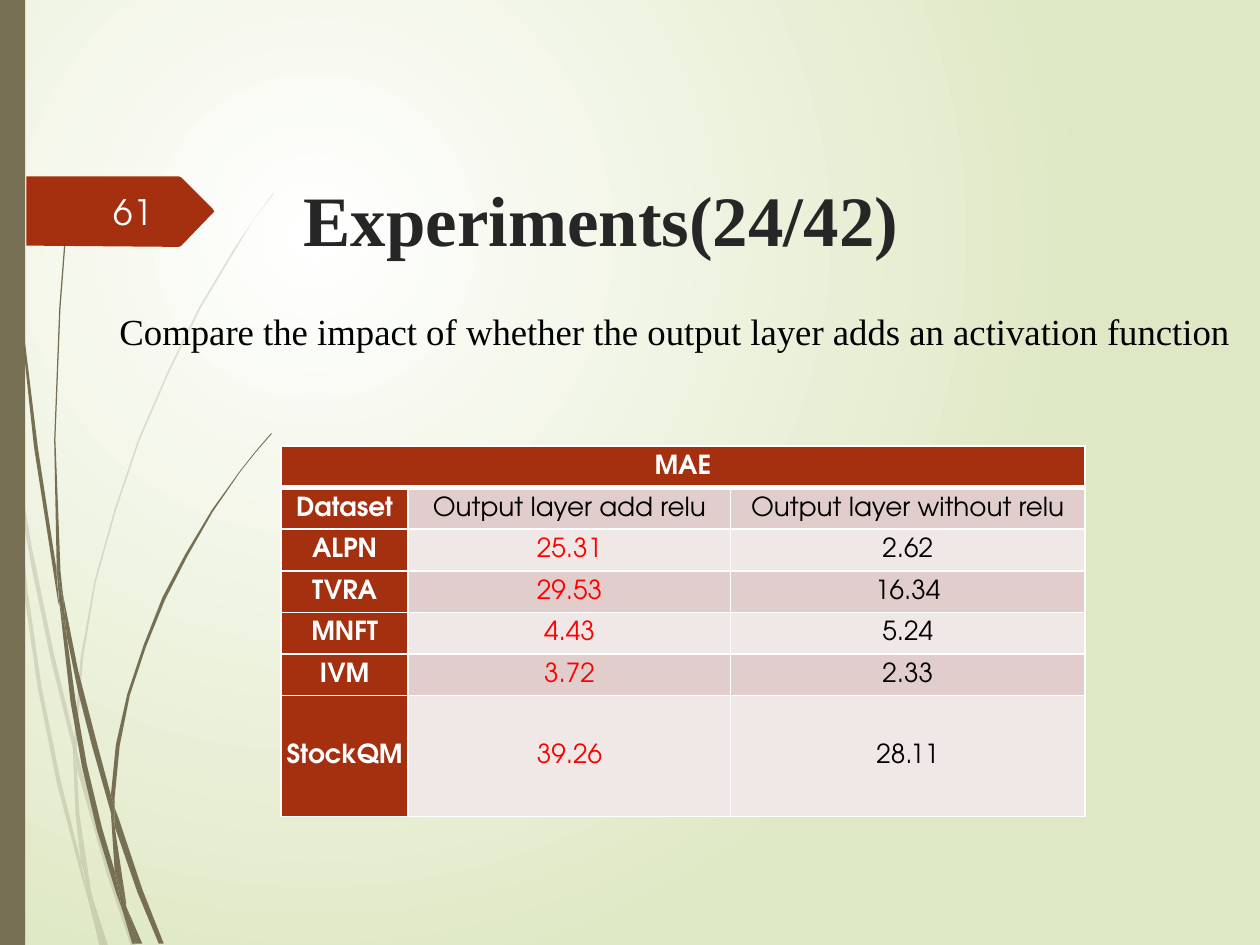
from lxml import etree
from pptx import Presentation
from pptx.dml.color import RGBColor
from pptx.enum.shapes import MSO_SHAPE
from pptx.enum.text import MSO_ANCHOR, MSO_AUTO_SIZE, PP_ALIGN
from pptx.oxml.ns import qn
from pptx.util import Inches, Pt

RECTANGLE = MSO_SHAPE.RECTANGLE
TOP, MIDDLE = MSO_ANCHOR.TOP, MSO_ANCHOR.MIDDLE
LEFT, CENTER, RIGHT = PP_ALIGN.LEFT, PP_ALIGN.CENTER, PP_ALIGN.RIGHT
NO_AUTOFIT = MSO_AUTO_SIZE.NONE

COLUMNS, ROWS = 1000, 750
UNIT = Inches(10) // COLUMNS

COLORS = {
    "white": "FFFFFF", "meadow": "DFE8C4", "stem": "766F54", "rust": "A53010",
    "number": "FEFFFF", "title": "262626", "black": "000000", "red": "FF0000",
    "dark_band": "E1CDCC", "light_band": "F0E8E7",
}
SERIF, SANS = "Times New Roman", "TeX Gyre Adventor"

PALE_STEMS = [
    [(8, 350), (6, 322), (0, 282), (0, 299), (7, 344)],
    [(40, 522), (59, 599), (59, 586), (43, 520), (25, 433), (10, 345), (12, 376), (25, 450)],
    [(64, 607), (61, 596), (61, 610), (85, 694), (104, 751), (108, 751), (88, 692)],
    [(83, 751), (86, 751), (73, 711)],
    [(64, 683), (48, 619), (33, 545), (22, 469), (12, 376), (8, 350), (19, 470), (30, 546),
     (45, 621), (64, 693), (70, 714), (69, 707)],
    [(58, 599), (60, 646), (64, 683), (67, 692), (73, 711), (72, 706), (63, 646), (61, 610)],
    [(61, 584), (66, 522), (76, 462), (92, 405), (111, 349), (134, 296), (159, 245), (187, 198),
     (201, 175), (217, 154), (217, 153), (201, 175), (186, 197), (158, 244), (133, 295),
     (110, 348), (91, 404), (75, 461), (64, 522), (59, 584), (59, 586), (61, 596)],
    [(70, 714), (79, 751), (82, 751)],
    [(61, 608), (61, 610), (61, 596), (59, 586), (58, 599)],
    [(67, 692), (65, 683), (69, 707), (70, 714), (82, 751), (83, 751), (73, 711)],
]
DARK_STEMS = [
    [(5, 110), (14, 233), (27, 355), (46, 477), (47, 481), (45, 457), (45, 453), (30, 355),
     (15, 232), (6, 109), (4, 48), (3, 0), (2, 0), (3, 48)],
    [(73, 592), (88, 645), (88, 633), (88, 631), (77, 590), (62, 532), (50, 472), (53, 505),
     (62, 549)],
    [(94, 649), (91, 641), (91, 656), (109, 708), (126, 749), (130, 749), (113, 706)],
    [(91, 691), (81, 657), (69, 607), (60, 556), (53, 505), (47, 477), (56, 557), (65, 608),
     (77, 659), (92, 708), (97, 722), (96, 717)],
    [(50, 472), (48, 453), (44, 349), (48, 245), (52, 193), (58, 141), (51, 193), (47, 245),
     (43, 349), (45, 449), (49, 472)],
    [(110, 749), (113, 749), (100, 719)],
    [(47, 477), (53, 505), (50, 472), (49, 472), (45, 449), (45, 453)],
    [(91, 633), (95, 592), (103, 552), (116, 513), (131, 476), (149, 441), (169, 406),
     (191, 374), (203, 359), (216, 344), (215, 344), (203, 358), (191, 373), (168, 405),
     (147, 440), (129, 474), (114, 512), (101, 551), (92, 591), (88, 631), (91, 641)],
    [(97, 722), (105, 749), (108, 749)],
    [(88, 645), (91, 691), (96, 706), (100, 719), (100, 716), (91, 656), (90, 651)],
    [(88, 645), (90, 651), (91, 656), (91, 641), (88, 631), (88, 633)],
    [(96, 706), (91, 691), (96, 717), (97, 722), (108, 749), (110, 749), (100, 719)],
]
BADGE = [(169, 169), (144, 195), (142, 196), (21, 195), (21, 140), (142, 140), (144, 141),
         (169, 166), (170, 168)]

COLUMN_WIDTHS = [101, 256, 281]
ROW_HEIGHTS = [33] * 6 + [96]
MAE_ROWS = [
    ["MAE", "", ""],
    ["Dataset", "Output layer add relu", "Output layer without relu"],
    ["ALPN", "25.31", "2.62"],
    ["TVRA", "29.53", "16.34"],
    ["MNFT", "4.43", "5.24"],
    ["IVM", "3.72", "2.33"],
    ["StockQM", "39.26", "28.11"],
]


def rgb(name):
    return RGBColor.from_string(COLORS[name])


def apply(target, formats):
    for name, value in formats.items():
        setattr(target, name, value)


def place(shape, *cells):
    apply(shape, dict(zip(("left", "top", "width", "height"), [n * UNIT for n in cells])))


def write(frame, text, font, size, color, bold=False, align=LEFT):
    paragraph = frame.paragraphs[0]
    paragraph.alignment = align
    run = paragraph.add_run()
    run.text = text
    apply(run.font, {"name": font, "size": Pt(size), "bold": bold})
    run.font.color.rgb = rgb(color)


def paint(shape, color, alpha=None):
    shape.shadow.inherit = False
    shape.fill.solid()
    shape.fill.fore_color.rgb = rgb(color)
    shape.line.fill.background()
    if alpha:
        tone = shape._element.spPr.find(qn("a:solidFill")).find(qn("a:srgbClr"))
        etree.SubElement(tone, qn("a:alpha"), val=str(alpha * 1000))


def add_outline(slide, points, color, alpha=None):
    builder = slide.shapes.build_freeform(*points[0], scale=UNIT)
    builder.add_line_segments(points[1:], close=True)
    paint(builder.convert_to_shape(), color, alpha)


def add_background(slide):
    fill = slide.background.fill
    fill.gradient()
    for stop, color, position in zip(fill.gradient_stops, ("white", "meadow"), (0, 1)):
        stop.color.rgb = rgb(color)
        stop.position = position
    gradient = slide._element.find(".//" + qn("a:gradFill"))
    gradient.remove(gradient.find(qn("a:lin")))
    circle = etree.SubElement(gradient, qn("a:path"), path="circle")
    etree.SubElement(circle, qn("a:fillToRect"), l="50000", t="50000", r="100000", b="100000")


def add_title(slide, text):
    title = slide.shapes.title
    slide.shapes._spTree.append(title._element)
    place(title, 234, 135, 532, 105)
    apply(title.text_frame, {
        "auto_size": NO_AUTOFIT, "vertical_anchor": TOP, "word_wrap": True,
        "margin_left": 7 * UNIT, "margin_right": 7 * UNIT,
        "margin_top": 4 * UNIT, "margin_bottom": 4 * UNIT,
    })
    write(title.text_frame, text, SERIF, 40.5, "title", bold=True)


def add_text(slide, cells, text, anchor, **style):
    box = slide.shapes.add_textbox(*[n * UNIT for n in cells])
    apply(box.text_frame, {"word_wrap": True, "vertical_anchor": anchor})
    write(box.text_frame, text, **style)


def add_borders(cell, widths):
    properties = cell._tc.get_or_add_tcPr()
    for side, width in widths.items():
        line = etree.SubElement(properties, qn("a:ln" + side), w=str(Pt(width)))
        fill = etree.SubElement(line, qn("a:solidFill"))
        etree.SubElement(fill, qn("a:srgbClr"), val=COLORS["white"])


def cell_colors(row, column):
    if row == 0 or column == 0:
        return "rust", "white"
    band = "dark_band" if row % 2 else "light_band"
    return band, "red" if column == 1 and row > 1 else "black"


def add_mae_table(slide):
    cells = (223, 354, sum(COLUMN_WIDTHS), sum(ROW_HEIGHTS))
    frame = slide.shapes.add_table(len(ROW_HEIGHTS), len(COLUMN_WIDTHS),
                                   *[n * UNIT for n in cells])
    table = frame.table
    apply(table, {"first_row": False, "horz_banding": False})
    for column, width in zip(table.columns, COLUMN_WIDTHS):
        column.width = width * UNIT
    for row, height in zip(table.rows, ROW_HEIGHTS):
        row.height = height * UNIT
    table.cell(0, 0).merge(table.cell(0, len(COLUMN_WIDTHS) - 1))
    for r, texts in enumerate(MAE_ROWS):
        for c, text in enumerate(texts):
            cell = table.cell(r, c)
            apply(cell, {"vertical_anchor": MIDDLE, "margin_left": UNIT, "margin_right": UNIT,
                         "margin_top": UNIT, "margin_bottom": 0})
            add_borders(cell, {"L": 1, "R": 1, "T": 3 if r == 1 else 1, "B": 3 if r == 0 else 1})
            background, color = cell_colors(r, c)
            cell.fill.solid()
            cell.fill.fore_color.rgb = rgb(background)
            if text:
                write(cell.text_frame, text, SANS, 15, color, color == "white", CENTER)


def main():
    presentation = Presentation()
    apply(presentation, {"slide_width": COLUMNS * UNIT, "slide_height": ROWS * UNIT})
    slide = presentation.slides.add_slide(presentation.slide_layouts[5])
    add_background(slide)
    for points in PALE_STEMS:
        add_outline(slide, points, "stem", alpha=20)
    for points in DARK_STEMS:
        add_outline(slide, points, "stem")
    edge = slide.shapes.add_shape(RECTANGLE, 0, 0, 20 * UNIT, ROWS * UNIT)
    paint(edge, "stem")
    add_outline(slide, BADGE, "rust")
    add_text(slide, (67, 148, 64, 40), "61", MIDDLE,
             font=SANS, size=20, color="number", align=RIGHT)
    add_title(slide, "Experiments(24/42)")
    add_text(slide, (85, 240, 953, 45),
             "Compare the impact of whether the output layer adds an activation function",
             TOP, font=SERIF, size=21, color="black")
    add_mae_table(slide)
    presentation.save("out.pptx")


if __name__ == "__main__":
    main()
